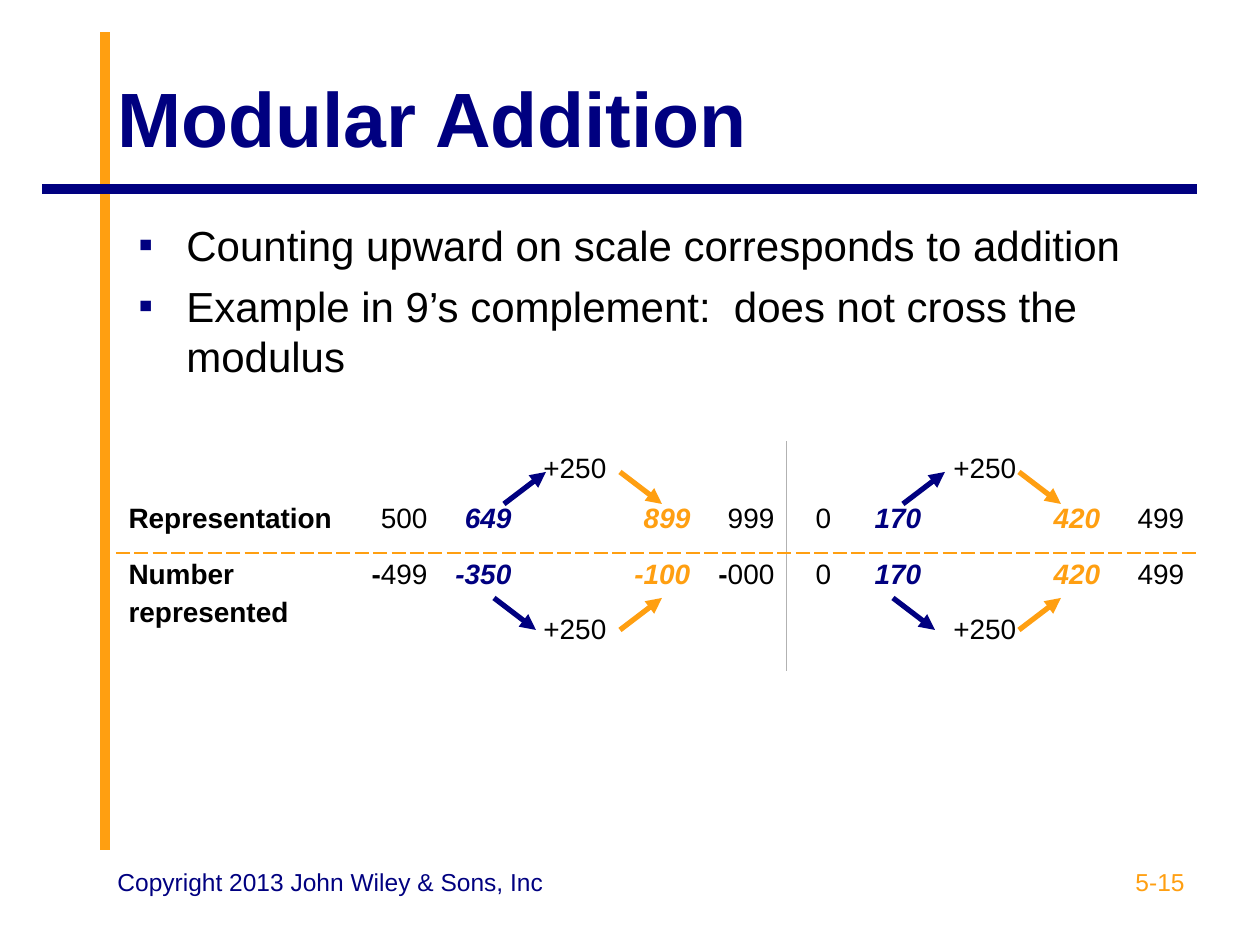
"""Build the Modular Addition slide."""
from lxml import etree
from pptx import Presentation
from pptx.dml.color import RGBColor
from pptx.enum.shapes import MSO_CONNECTOR
from pptx.enum.text import MSO_ANCHOR, PP_ALIGN
from pptx.oxml import parse_xml
from pptx.oxml.ns import nsdecls, qn
from pptx.util import Pt

PX = 914400 // 126
STRAIGHT = MSO_CONNECTOR.STRAIGHT
LEFT, CENTER, RIGHT = PP_ALIGN.LEFT, PP_ALIGN.CENTER, PP_ALIGN.RIGHT
TOP, MIDDLE = MSO_ANCHOR.TOP, MSO_ANCHOR.MIDDLE
FONT = "Arial"
COLORS = {"navy": "000080", "orange": "FF9F11", "black": "000000", "gray": "B2B2B2"}

TITLE = "Modular Addition"
BULLETS = [
    "Counting upward on scale corresponds to addition",
    "Example in 9’s complement:  does not cross the modulus",
]
COPYRIGHT = "Copyright 2013 John Wiley & Sons, Inc"
PAGE = "5-15"

ROWS = [
    ["", "", "", "+250", "", "", "", "", "+250", "", ""],
    ["Representation", "500", "649", "", "899", "999", "0", "170", "", "420", "499"],
    ["Number\nrepresented", "-499", "-350", "", "-100", "-000", "0", "170", "", "420", "499"],
    ["", "", "", "+250", "", "", "", "", "+250", "", ""],
]
TABLE_LEFT, TABLE_TOP = 116, 441
COL_WIDTHS = [236, 88, 84, 95, 84, 84, 73, 74, 95, 84, 84]
ROW_HEIGHTS = [56, 56, 55, 63]
LABEL_COL, ZERO_COL = 0, 6
START_COLS, END_COLS = (2, 7), (4, 9)
MODULUS_COL, SCALE_ROW = 5, 1

RULES = [
    ((105, 850), (105, 32), "orange"),
    ((1197, 189), (42, 189), "navy"),
]
ARROWS = [
    ((504, 504), (546, 472), "navy"),
    ((620, 472), (662, 504), "orange"),
    ((620, 630), (662, 598), "orange"),
    ((494, 598), (536, 630), "navy"),
]
ARROW_GROUP_OFFSETS = [0, 399]


def rgb(color):
    return RGBColor.from_string(COLORS[color])


def write(p, text, size=16, color="black", bold=False, italic=False,
          align=LEFT, before=0, spacing=None):
    p.alignment = align
    p.space_before = Pt(before)
    if spacing:
        p.line_spacing = spacing
    r = p.add_run()
    r.text = text
    r.font.name, r.font.size = FONT, Pt(size)
    r.font.bold, r.font.italic = bold, italic
    r.font.color.rgb = rgb(color)


def add_box(slide, left, top, width, height, anchor=TOP):
    sp = slide.shapes.add_textbox(left * PX, top * PX, width * PX, height * PX)
    tf = sp.text_frame
    tf.word_wrap = True
    tf.vertical_anchor = anchor
    return tf


def add_line(slide, start, end, color, width, dx=0, arrow=False):
    (x1, y1), (x2, y2) = start, end
    line = slide.shapes.add_connector(
        STRAIGHT, (x1 + dx) * PX, y1 * PX, (x2 + dx) * PX, y2 * PX)
    line.line.color.rgb = rgb(color)
    line.line.width = Pt(width)
    if arrow:
        etree.SubElement(line.line._get_or_add_ln(), qn("a:tailEnd"), type="triangle")
    etree.SubElement(line._element.spPr, qn("a:effectLst"))


def add_bullet(p):
    pPr = p._p.get_or_add_pPr()
    pPr.set("marL", str(48 * PX))
    pPr.set("indent", str(-48 * PX))
    color = etree.SubElement(pPr, qn("a:buClr"))
    etree.SubElement(color, qn("a:srgbClr"), val=COLORS["navy"])
    etree.SubElement(pPr, qn("a:buFont"), typeface=FONT)
    etree.SubElement(pPr, qn("a:buChar"), char="▪")


def set_borders(cell, borders):
    tcPr = cell._tc.get_or_add_tcPr()
    for i, side in enumerate("LRTB"):
        if side in borders:
            color, width, dash = borders[side]
            body = (f'<a:solidFill><a:srgbClr val="{COLORS[color]}"/></a:solidFill>'
                    f'<a:prstDash val="{dash}"/>')
        else:
            width, body = 0, "<a:noFill/>"
        tcPr.insert(i, parse_xml(
            f'<a:ln{side} {nsdecls("a")} w="{Pt(width)}">{body}</a:ln{side}>'))


def cell_borders(row, col):
    modulus, scale = ("gray", 0.75, "solid"), ("orange", 1.47, "dash")
    borders = {}
    if col == MODULUS_COL:
        borders["R"] = modulus
    if col == MODULUS_COL + 1:
        borders["L"] = modulus
    if row == SCALE_ROW:
        borders["B"] = scale
    if row == SCALE_ROW + 1:
        borders["T"] = scale
    return borders


def fill_cell(cell, text, row, col):
    fmt = {"align": RIGHT}
    if col == LABEL_COL:
        fmt = {"bold": True}
    elif col == ZERO_COL:
        fmt = {"align": CENTER}
    elif col in START_COLS:
        fmt.update(color="navy", bold=True, italic=True)
    elif col in END_COLS:
        fmt.update(color="orange", bold=True, italic=True)
    elif row == 0:
        fmt["spacing"] = 1.2
    tf = cell.text_frame
    for i, line in enumerate(text.split("\n")):
        p = tf.add_paragraph() if i else tf.paragraphs[0]
        if line.startswith("-") and "bold" not in fmt:
            write(p, "-", bold=True, **fmt)
            line = line[1:]
        write(p, line, before=4 if i else 0, **fmt)


def add_scale_table(slide):
    table = slide.shapes.add_table(
        len(ROWS), len(COL_WIDTHS), TABLE_LEFT * PX, TABLE_TOP * PX,
        sum(COL_WIDTHS) * PX, sum(ROW_HEIGHTS) * PX).table
    table.first_row = table.horz_banding = False
    for column, width in zip(table.columns, COL_WIDTHS):
        column.width = width * PX
    for row, height in zip(table.rows, ROW_HEIGHTS):
        row.height = height * PX
    for i, row in enumerate(ROWS):
        for j, text in enumerate(row):
            cell = table.cell(i, j)
            cell.fill.background()
            set_borders(cell, cell_borders(i, j))
            if text:
                fill_cell(cell, text, i, j)
    table.cell(2, LABEL_COL).merge(table.cell(3, LABEL_COL))


def main():
    prs = Presentation()
    prs.slide_width, prs.slide_height = 1260 * PX, 945 * PX
    slide = prs.slides.add_slide(prs.slide_layouts[6])
    for start, end, color in RULES:
        add_line(slide, start, end, color, 5.5)

    tf = add_box(slide, 105, 38, 1092, 157, MIDDLE)
    write(tf.paragraphs[0], TITLE, size=44, color="navy", bold=True)
    tf = add_box(slide, 126, 213, 1071, 189)
    for i, text in enumerate(BULLETS):
        p = tf.add_paragraph() if i else tf.paragraphs[0]
        add_bullet(p)
        write(p, text, size=24, before=6 if i else 0)

    add_scale_table(slide)
    for dx in ARROW_GROUP_OFFSETS:
        for start, end, color in ARROWS:
            add_line(slide, start, end, color, 3, dx, arrow=True)

    tf = add_box(slide, 903, 861, 294, 65)
    write(tf.paragraphs[0], PAGE, size=14, color="orange", align=RIGHT)
    tf = add_box(slide, 105, 861, 462, 65)
    write(tf.paragraphs[0], COPYRIGHT, size=14, color="navy")
    prs.save("out.pptx")


if __name__ == "__main__":
    main()
